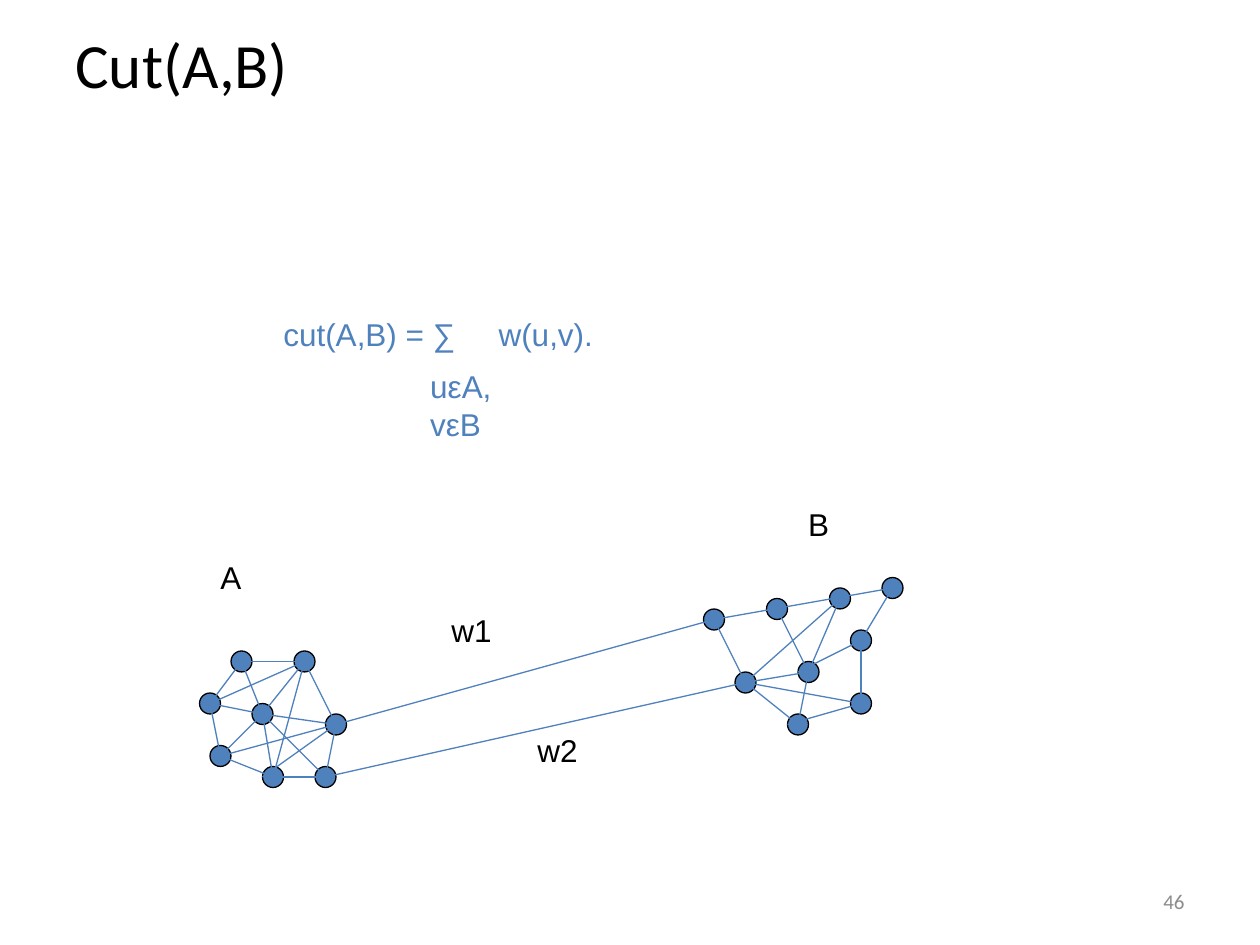
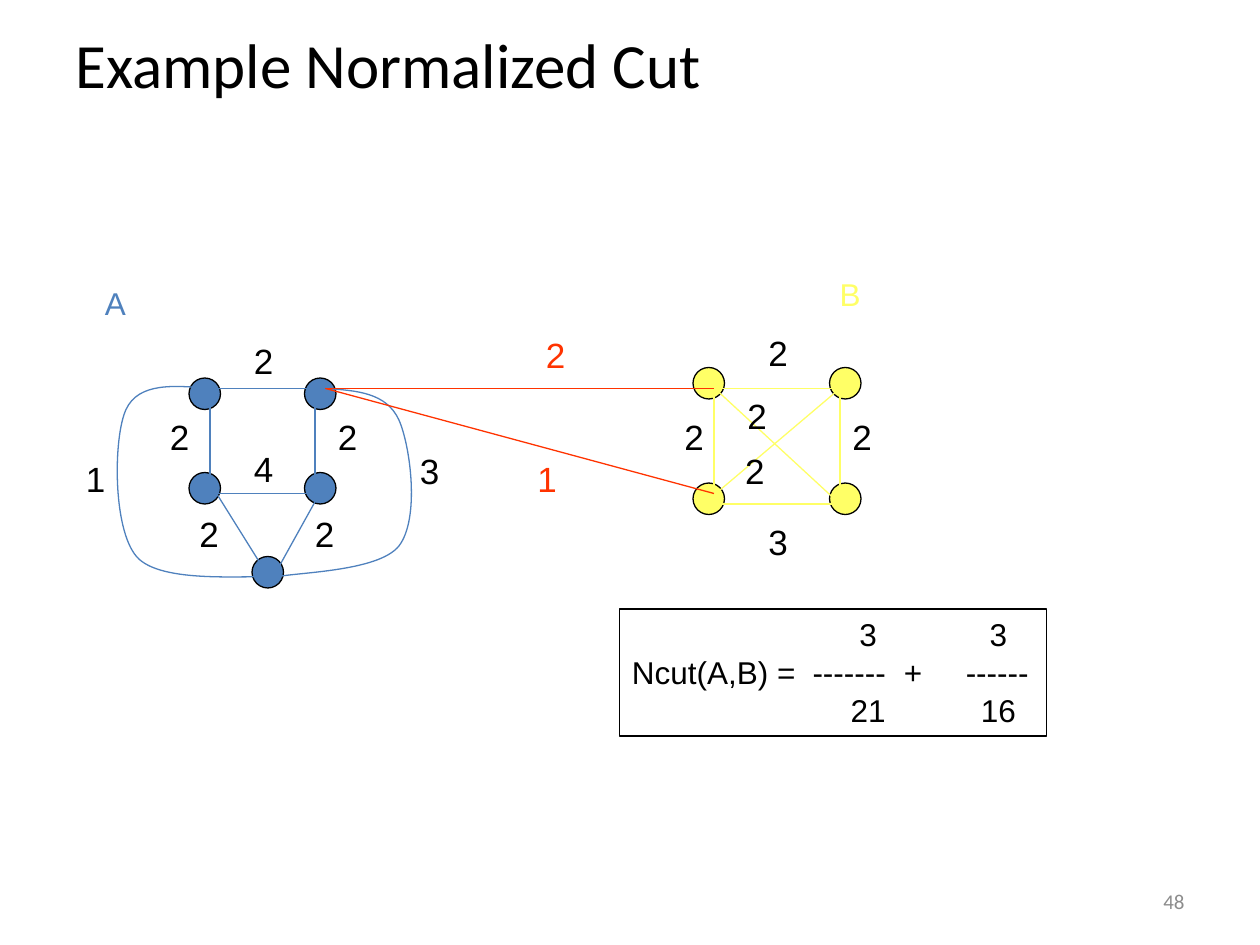
from dataclasses import dataclass

from lxml import etree
from pptx import Presentation
from pptx.dml.color import RGBColor
from pptx.enum.shapes import MSO_CONNECTOR, MSO_SHAPE
from pptx.enum.text import MSO_ANCHOR, MSO_AUTO_SIZE, PP_ALIGN
from pptx.oxml.ns import qn
from pptx.util import Emu, Pt

EMU_PER_PX = 7620
BLANK_LAYOUT = 6
STRAIGHT = MSO_CONNECTOR.STRAIGHT
OVAL, RECTANGLE = MSO_SHAPE.OVAL, MSO_SHAPE.RECTANGLE
LEFT, RIGHT = PP_ALIGN.LEFT, PP_ALIGN.RIGHT
TOP, MIDDLE = MSO_ANCHOR.TOP, MSO_ANCHOR.MIDDLE
GROW = MSO_AUTO_SIZE.SHAPE_TO_FIT_TEXT


@dataclass(frozen=True)
class Theme:
    black: RGBColor = RGBColor(0x00, 0x00, 0x00)
    gray: RGBColor = RGBColor(0x8C, 0x8C, 0x8C)
    blue: RGBColor = RGBColor(0x4F, 0x81, 0xBD)
    yellow: RGBColor = RGBColor(0xFF, 0xFF, 0x66)
    red: RGBColor = RGBColor(0xFF, 0x33, 0x00)
    heading_font: str = "Calibri"
    body_font: str = "Arial"
    title_size: int = 36
    weight_size: int = 20
    label_size: int = 18
    number_size: int = 12
    line_width: float = 0.75


THEME = Theme()

CLUSTER_A = {
    "hub": (250, 680), "top right": (290, 630), "bottom": (260, 740),
    "low right": (310, 740), "top left": (230, 630), "right": (320, 690),
    "left": (200, 670), "low left": (210, 720),
}
CLUSTER_B = {
    "west": (680, 590), "north west": (740, 580), "north": (800, 570),
    "east": (820, 610), "south": (760, 690), "south east": (820, 670),
    "north east": (850, 560), "hub": (770, 640), "south west": (710, 650),
}
EDGES_A = {
    "top left": ["left", "top right", "hub"],
    "left": ["low left", "hub", "top right"],
    "low left": ["bottom", "hub", "right"],
    "bottom": ["low right", "top right"],
    "right": ["low right"],
    "top right": ["right"],
    "hub": ["bottom", "right", "low right", "top right"],
}
EDGES_B = {
    "west": ["south west", "north east"],
    "north east": ["east"],
    "east": ["south east"],
    "south west": ["south", "hub", "south east"],
    "south": ["hub"],
    "north west": ["hub"],
    "north": ["hub", "south west"],
}
OFFSET_EDGES = [
    ((250, 740), CLUSTER_A["right"]),
    ((760, 640), CLUSTER_B["east"]),
    (CLUSTER_B["south east"], (750, 690)),
]
CUT_EDGES = [
    (CLUSTER_A["right"], CLUSTER_B["west"]),
    (CLUSTER_A["low right"], CLUSTER_B["south west"]),
]

PENTAGON = [(195, 375), (305, 375), (195, 465), (305, 465), (255, 545)]
SQUARE = [(x, y) for y in (365, 475) for x in (675, 805)]
PENTAGON_EDGES = [
    ((190, 370), (310, 370)), ((200, 370), (200, 470)),
    ((300, 380), (300, 470)), ((200, 470), (300, 470)),
    ((200, 460), (250, 540)), ((310, 460), (260, 550)),
]
SQUARE_EDGES = [
    ((680, 360), (680, 470)), ((800, 370), (800, 480)),
    ((680, 370), (810, 370)), ((680, 480), (800, 480)),
    ((800, 370), (670, 480)), ((670, 360), (800, 480)),
]
NORMALIZED_CUT_EDGES = [((310, 370), (680, 370)), ((310, 370), (680, 470))]
LEFT_LOOP = [
    (200, 370), (166, 367), (132, 364), (120, 390), (108, 416),
    (107, 503), (130, 530), (153, 557), (239, 547), (260, 550),
]
RIGHT_LOOP = [
    (310, 370), (340, 372), (368, 374), (380, 400), (391, 425),
    (400, 494), (380, 520), (360, 545), (280, 545), (260, 550),
]
WEIGHTS = [
    ("2", 230, 317), ("2", 150, 390), ("2", 310, 390), ("2", 178, 482),
    ("2", 288, 482), ("4", 230, 420), ("1", 70, 430), ("3", 388, 422),
    ("2", 720, 310), ("2", 640, 390), ("2", 800, 390), ("3", 720, 490),
    ("2", 700, 370), ("2", 698, 422),
]
CUT_WEIGHTS = [("2", 508, 312), ("1", 500, 430)]
DIGIT_STOPS = [(225, "ctr"), (349, "ctr")]
NCUT_LINES = [
    ("\t3\t3", DIGIT_STOPS),
    ("Ncut(A,B) =\t-------\t+\t------", [(172, "l"), (259, "l"), (318, "l")]),
    ("\t21\t16", DIGIT_STOPS),
]


def px(*lengths):
    return [Emu(length * EMU_PER_PX) for length in lengths]


def set_line(line, color):
    line.color.rgb = color
    line.width = Pt(THEME.line_width)


def add_tab_stops(para, stops):
    if stops:
        tab_list = etree.SubElement(para._p.get_or_add_pPr(), qn("a:tabLst"))
        for position, align in stops:
            etree.SubElement(tab_list, qn("a:tab"),
                             pos=str(px(position)[0]), algn=align)


def fill_text(frame, lines, size, color, font=THEME.body_font,
              align=LEFT, anchor=TOP, wrap=True):
    frame.word_wrap = wrap
    frame.vertical_anchor = anchor
    for index, (text, stops) in enumerate(lines):
        para = frame.add_paragraph() if index else frame.paragraphs[0]
        para.alignment = align
        add_tab_stops(para, stops)
        span = para.add_run()
        span.text = text
        span.font.name = font
        span.font.size = Pt(size)
        span.font.color.rgb = color


def add_text(page, text, place, size, color, stops=(), **style):
    box = page.shapes.add_textbox(*px(*place))
    fill_text(box.text_frame, [(text, stops)], size, color, **style)
    return box


def add_label(page, text, place, color=THEME.black,
              size=THEME.label_size, stops=(), wrap=False):
    box = add_text(page, text, place, size, color, stops, wrap=wrap)
    box.text_frame.auto_size = GROW


def add_weights(page, weights, color):
    for text, left, top in weights:
        add_label(page, text, (left, top, 41, 52), color, THEME.weight_size)


def add_nodes(page, centers, diameter, color):
    for x, y in centers:
        node = page.shapes.add_shape(
            OVAL, *px(x - diameter // 2, y - diameter // 2, diameter, diameter))
        node.shadow.inherit = False
        node.fill.solid()
        node.fill.fore_color.rgb = color
        set_line(node.line, THEME.black)


def add_edges(page, edges, color):
    for start, end in edges:
        edge = page.shapes.add_connector(STRAIGHT, *px(*start, *end))
        set_line(edge.line, color)
        etree.SubElement(edge.element.spPr, qn("a:effectLst"))


def cluster_edges(nodes, links):
    return [(nodes[start], nodes[end]) for start, ends in links.items() for end in ends]


def add_curve(page, points, color):
    builder = page.shapes.build_freeform(*points[0], scale=EMU_PER_PX)
    builder.add_line_segments(points[1:], close=False)
    curve = builder.convert_to_shape()
    curve.shadow.inherit = False
    curve.fill.background()
    set_line(curve.line, color)
    segments = list(curve.element.iter(qn("a:lnTo")))
    outline = segments[0].getparent()
    for first in range(0, len(segments), 3):
        bezier = etree.SubElement(outline, qn("a:cubicBezTo"))
        for segment in segments[first:first + 3]:
            bezier.append(segment[0])
            outline.remove(segment)


def add_formula_box(page, lines, place):
    box = page.shapes.add_shape(RECTANGLE, *px(*place))
    box.shadow.inherit = False
    box.fill.background()
    set_line(box.line, THEME.black)
    fill_text(box.text_frame, lines, THEME.label_size, THEME.black)


def add_page(deck, title, number):
    page = deck.slides.add_slide(deck.slide_layouts[BLANK_LAYOUT])
    add_text(page, number, (860, 834, 280, 48), THEME.number_size, THEME.gray,
             font=THEME.heading_font, align=RIGHT, anchor=MIDDLE)
    add_text(page, title, (60, 0, 1080, 120), THEME.title_size, THEME.black,
             font=THEME.heading_font, anchor=MIDDLE)
    return page


def build_cut(deck):
    page = add_page(deck, "Cut(A,B)", "46")
    for nodes in (CLUSTER_A, CLUSTER_B):
        add_nodes(page, nodes.values(), 20, THEME.blue)
    for edges in (cluster_edges(CLUSTER_A, EDGES_A), cluster_edges(CLUSTER_B, EDGES_B),
                  OFFSET_EDGES, CUT_EDGES):
        add_edges(page, edges, THEME.blue)
    add_label(page, "w1", (418, 576, 73, 60))
    add_label(page, "w2", (500, 690, 73, 60))
    add_label(page, "A", (198, 526, 53, 60))
    add_label(page, "B", (758, 475, 50, 60))
    add_label(page, "cut(A,B) = ∑\tw(u,v).", (258, 294, 402, 60), THEME.blue,
              stops=[(205, "l")], wrap=True)
    add_label(page, "uεA, vεB", (398, 344, 120, 48), THEME.blue, wrap=True)


def build_normalized_cut(deck):
    page = add_page(deck, "Example Normalized Cut", "48")
    add_nodes(page, PENTAGON, 30, THEME.blue)
    add_nodes(page, SQUARE, 30, THEME.yellow)
    add_edges(page, PENTAGON_EDGES, THEME.blue)
    for loop in (LEFT_LOOP, RIGHT_LOOP):
        add_curve(page, loop, THEME.blue)
    add_edges(page, SQUARE_EDGES, THEME.yellow)
    add_weights(page, WEIGHTS, THEME.black)
    add_edges(page, NORMALIZED_CUT_EDGES, THEME.red)
    add_weights(page, CUT_WEIGHTS, THEME.red)
    add_formula_box(page, NCUT_LINES, (590, 580, 407, 121))
    add_label(page, "A", (88, 265, 53, 60), THEME.blue)
    add_label(page, "B", (788, 256, 50, 60), THEME.yellow)


def main():
    deck = Presentation()
    deck.slide_width, deck.slide_height = px(1200, 900)
    build_cut(deck)
    build_normalized_cut(deck)
    deck.save("out.pptx")


if __name__ == "__main__":
    main()
